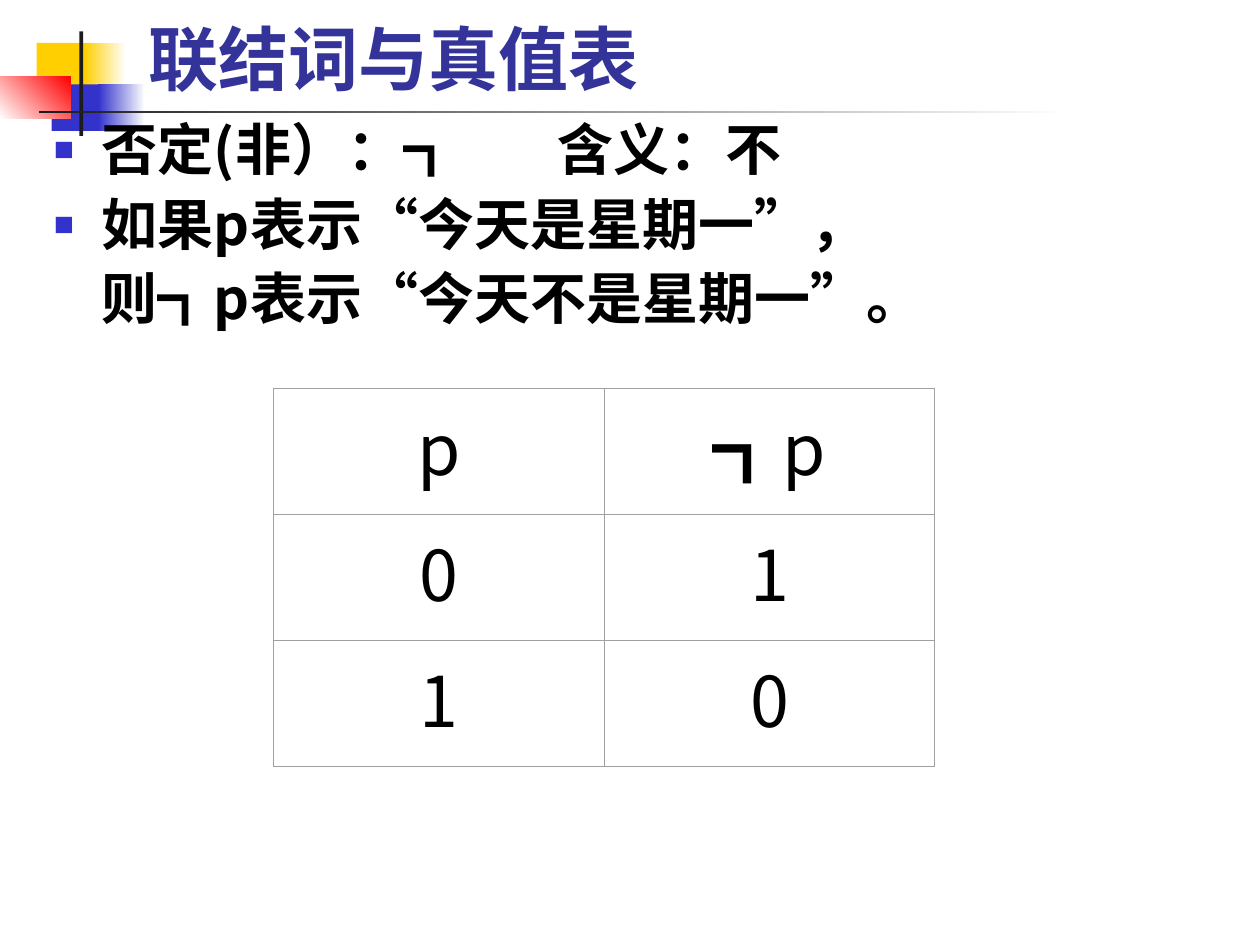
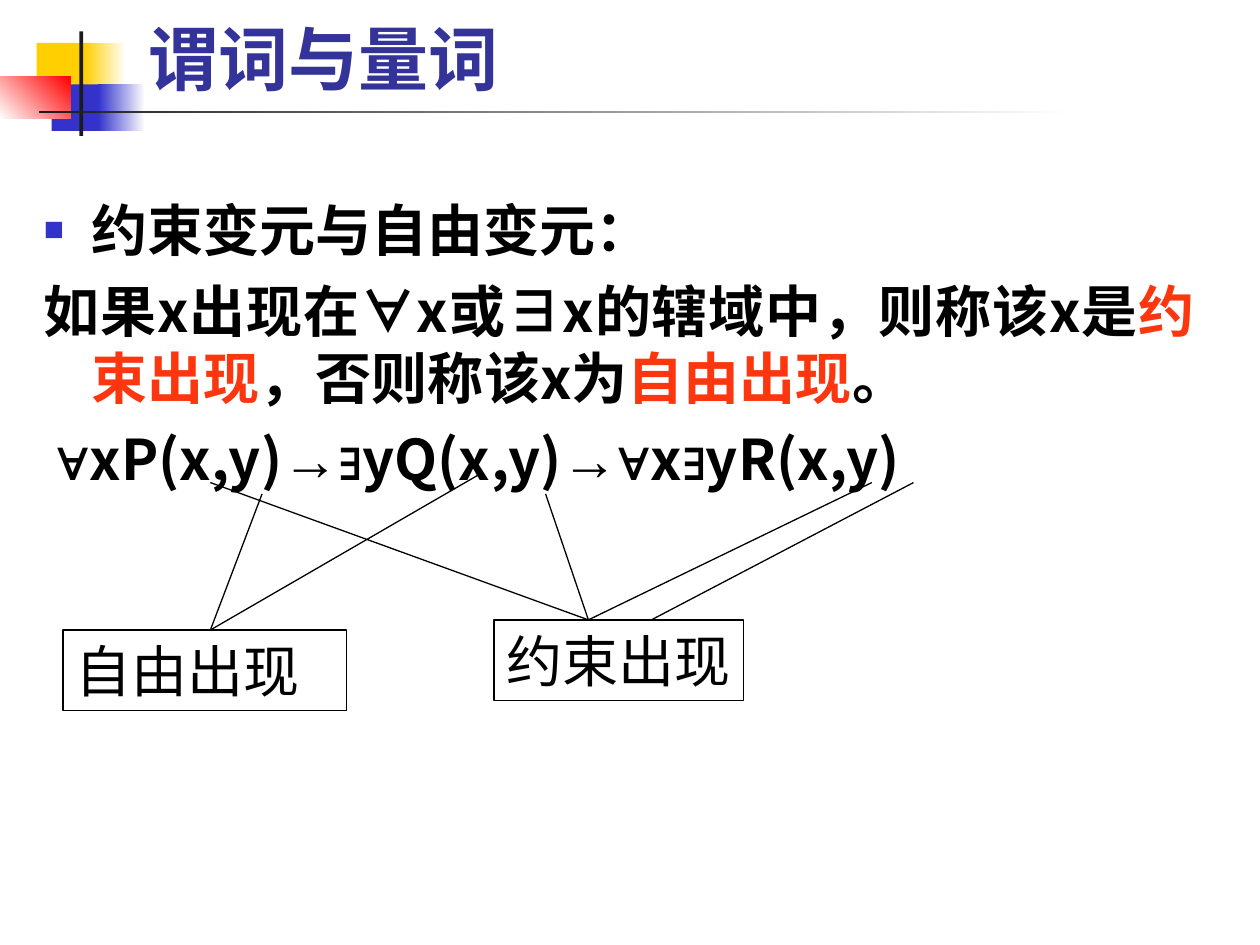
"""Build two logic slides: negation with its truth table, and bound and free variables."""
import dataclasses

import lxml.etree
import pptx
import pptx.dml.color
import pptx.enum.shapes
import pptx.enum.text
import pptx.oxml.ns
import pptx.util

Inches = pptx.util.Inches
Pt = pptx.util.Pt
qn = pptx.oxml.ns.qn


@dataclasses.dataclass(frozen=True)
class Theme:
    font: str = "Noto Sans CJK SC"
    quote_font: str = "Times New Roman"
    symbol_font: str = "Arial"
    title: str = "333399"
    text: str = "000000"
    highlight: str = "FC360E"
    grid: str = "A0A0A0"
    white: str = "FFFFFF"
    yellow: str = "FFCF01"
    blue: str = "3333CC"
    red: str = "FF0000"
    dark: str = "1C1C1C"
    large: int = 40
    medium: int = 32
    space_before: int = 8
    bullet_percent: int = 60
    hanging: float = 0.38


THEME = Theme()


def rgb(color):
    return pptx.dml.color.RGBColor.from_string(color)


def add_element(parent, tag, **attributes):
    return lxml.etree.SubElement(parent, qn(tag), attributes)


def add_span(para, text, size, color=THEME.text, bold=False, font=THEME.font):
    span = para.add_run()
    span.text = text
    span.font.size = Pt(size)
    span.font.bold = bold
    span.font.color.rgb = rgb(color)
    span.font.name = font
    add_element(span._r.get_or_add_rPr(), "a:ea", typeface=THEME.font)


def add_textbox(page, left, top, width, height):
    box = page.shapes.add_textbox(Inches(left), Inches(top), Inches(width), Inches(height))
    box.text_frame.word_wrap = True
    return box


def add_rectangle(page, left, top, width, height):
    box = page.shapes.add_shape(
        pptx.enum.shapes.MSO_SHAPE.RECTANGLE,
        Inches(left), Inches(top), Inches(width), Inches(height))
    box.shadow.inherit = False
    return box


def add_block(page, place, start, end=None, angle=0):
    block = add_rectangle(page, *place)
    block.line.fill.background()
    if end is None:
        block.fill.solid()
        block.fill.fore_color.rgb = rgb(start)
        return
    block.fill.gradient()
    block.fill.gradient_angle = angle
    for stop, color, position in zip(block.fill.gradient_stops, (start, end), (0, 1)):
        stop.color.rgb = rgb(color)
        stop.position = position


def add_ornament(page):
    add_block(page, (0.29, 0.34, 0.44, 0.38), THEME.yellow)
    add_block(page, (0.67, 0.34, 0.33, 0.38), THEME.yellow, THEME.white)
    add_block(page, (0.41, 0.67, 0.42, 0.37), THEME.blue)
    add_block(page, (0.78, 0.67, 0.37, 0.37), THEME.blue, THEME.white)
    add_block(page, (0, 0.61, 0.56, 0.33), THEME.white, THEME.red, angle=45)
    add_block(page, (0.63, 0.25, 0.03, 0.83), THEME.dark)
    add_block(page, (0.31, 0.88, 8.19, 0.02), THEME.dark, THEME.white)


def add_page(deck, title):
    page = deck.slides.add_slide(deck.slide_layouts[6])
    add_ornament(page)
    frame = add_textbox(page, 1.08, 0.17, 8.42, 0.67).text_frame
    frame.vertical_anchor = pptx.enum.text.MSO_ANCHOR.BOTTOM
    add_span(frame.paragraphs[0], title, THEME.large, THEME.title, bold=True)
    return page


def format_paragraph(para, bullet, indent):
    para.alignment = pptx.enum.text.PP_ALIGN.JUSTIFY
    properties = para._p.get_or_add_pPr()
    properties.set("marL", str(Inches(THEME.hanging)))
    properties.set("indent", str(Inches(indent)))
    if bullet:
        color = add_element(properties, "a:buClr")
        add_element(color, "a:srgbClr", val=THEME.blue)
        add_element(properties, "a:buSzPct", val=str(THEME.bullet_percent * 1000))
        add_element(properties, "a:buFont", typeface=THEME.symbol_font)
        add_element(properties, "a:buChar", char="■")
    else:
        add_element(properties, "a:buNone")
    tabs = add_element(properties, "a:tabLst")
    for inch in range(1, 9):
        add_element(tabs, "a:tab", pos=str(Inches(inch)), algn="l")


def add_body(page, place, paragraphs, line_spacing=1.0):
    """Fill a box from (bullet, first-line indent, spans) entries."""
    frame = add_textbox(page, *place).text_frame
    for index, (bullet, indent, spans) in enumerate(paragraphs):
        para = frame.add_paragraph() if index else frame.paragraphs[0]
        format_paragraph(para, bullet, indent)
        para.line_spacing = line_spacing
        if index:
            para.space_before = Pt(THEME.space_before)
        for text, style in spans:
            add_span(para, text, THEME.medium, bold=True, **style)


def add_cell_borders(cell):
    properties = cell._tc.get_or_add_tcPr()
    for index, side in enumerate(("a:lnL", "a:lnR", "a:lnT", "a:lnB")):
        line = lxml.etree.Element(qn(side), w=str(Pt(0.5)))
        add_element(add_element(line, "a:solidFill"), "a:srgbClr", val=THEME.grid)
        properties.insert(index, line)


def add_truth_table(page, place, rows):
    left, top, width, height = map(Inches, place)
    table = page.shapes.add_table(len(rows), len(rows[0]), left, top, width, height).table
    table.first_row = False
    table.horz_banding = False
    for row_index, row in enumerate(rows):
        for column_index, value in enumerate(row):
            cell = table.cell(row_index, column_index)
            cell.fill.background()
            add_cell_borders(cell)
            para = cell.text_frame.paragraphs[0]
            para.alignment = pptx.enum.text.PP_ALIGN.CENTER
            add_span(para, value, THEME.large)


def add_label(page, place, text, wrap):
    box = add_rectangle(page, *place)
    box.fill.background()
    box.line.color.rgb = rgb(THEME.text)
    box.line.width = Pt(0.75)
    frame = box.text_frame
    frame.word_wrap = wrap
    frame.vertical_anchor = pptx.enum.text.MSO_ANCHOR.TOP
    para = frame.paragraphs[0]
    para.alignment = pptx.enum.text.PP_ALIGN.LEFT
    add_span(para, text, THEME.medium)


def add_pointer(page, start, end):
    pointer = page.shapes.add_connector(
        pptx.enum.shapes.MSO_CONNECTOR.STRAIGHT, *map(Inches, start + end))
    pointer.line.color.rgb = rgb(THEME.text)
    pointer.line.width = Pt(0.75)
    add_element(pointer._element.spPr, "a:effectLst")


def build_negation(deck):
    page = add_page(deck, "联结词与真值表")
    quote = {"font": THEME.quote_font}
    add_body(page, (0.33, 0.92, 9.33, 1.92), [
        (True, -THEME.hanging, [("否定(非）：┓\t含义：不", {})]),
        (True, -THEME.hanging, [("如果p表示", {}), ("“", quote), ("今天是星期一", {}),
                                ("”", quote), ("，", {})]),
        (False, 0, [("则┓p表示", {}), ("“", quote), ("今天不是星期一", {}),
                    ("”", quote), ("。", {})]),
    ], line_spacing=0.9)
    add_truth_table(page, (2.17, 3.08, 5.25, 3), [("p", "┓p"), ("0", "1"), ("1", "0")])


def build_variables(deck):
    page = add_page(deck, "谓词与量词")
    symbol = {"font": THEME.symbol_font}
    highlight = {"color": THEME.highlight}
    add_body(page, (0.25, 1.5, 9.33, 2.67), [
        (True, -THEME.hanging, [("约束变元与自由变元：", {})]),
        (False, -THEME.hanging, [
            ("如果x出现在", {}), ("∀", symbol), ("x或", {}), ("∃", symbol),
            ("x的辖域中，则称该x是", {}), ("约束出现", highlight),
            ("，否则称该x为", {}), ("自由出现", highlight), ("。", {})]),
        (False, -0.28, [
            ("∀", symbol), ("xP(x,y)", {}), ("→∃", symbol), ("yQ(x,y)", {}),
            ("→∀", symbol), ("x", {}), ("∃", symbol), ("yR(x,y)", {})]),
    ])
    add_label(page, (0.5, 5, 2.25, 0.64), "自由出现", wrap=True)
    add_label(page, (3.92, 4.92, 1.98, 0.64), "约束出现", wrap=False)
    free, bound = (1.67, 5), (4.67, 4.92)
    for start, end in [
        ((2.08, 3.92), free), ((1.67, 3.83), bound), ((3.83, 3.75), free),
        ((4.33, 3.92), bound), ((6.92, 3.83), bound), ((7.25, 3.83), (5.17, 4.92)),
    ]:
        add_pointer(page, start, end)


def main():
    deck = pptx.Presentation()
    deck.slide_width = Inches(10)
    deck.slide_height = Inches(7.5)
    build_negation(deck)
    build_variables(deck)
    deck.save("out.pptx")


if __name__ == "__main__":
    main()
